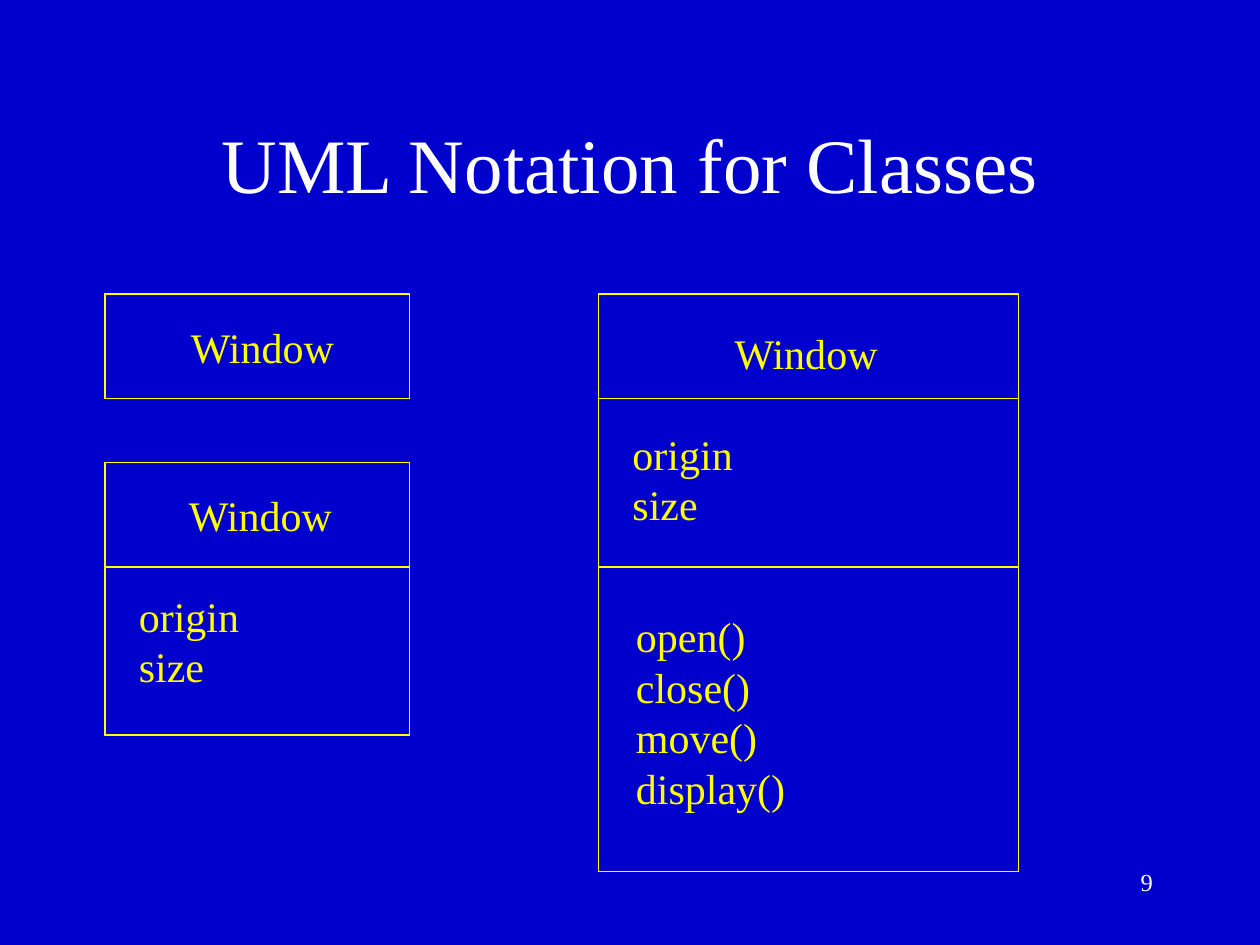
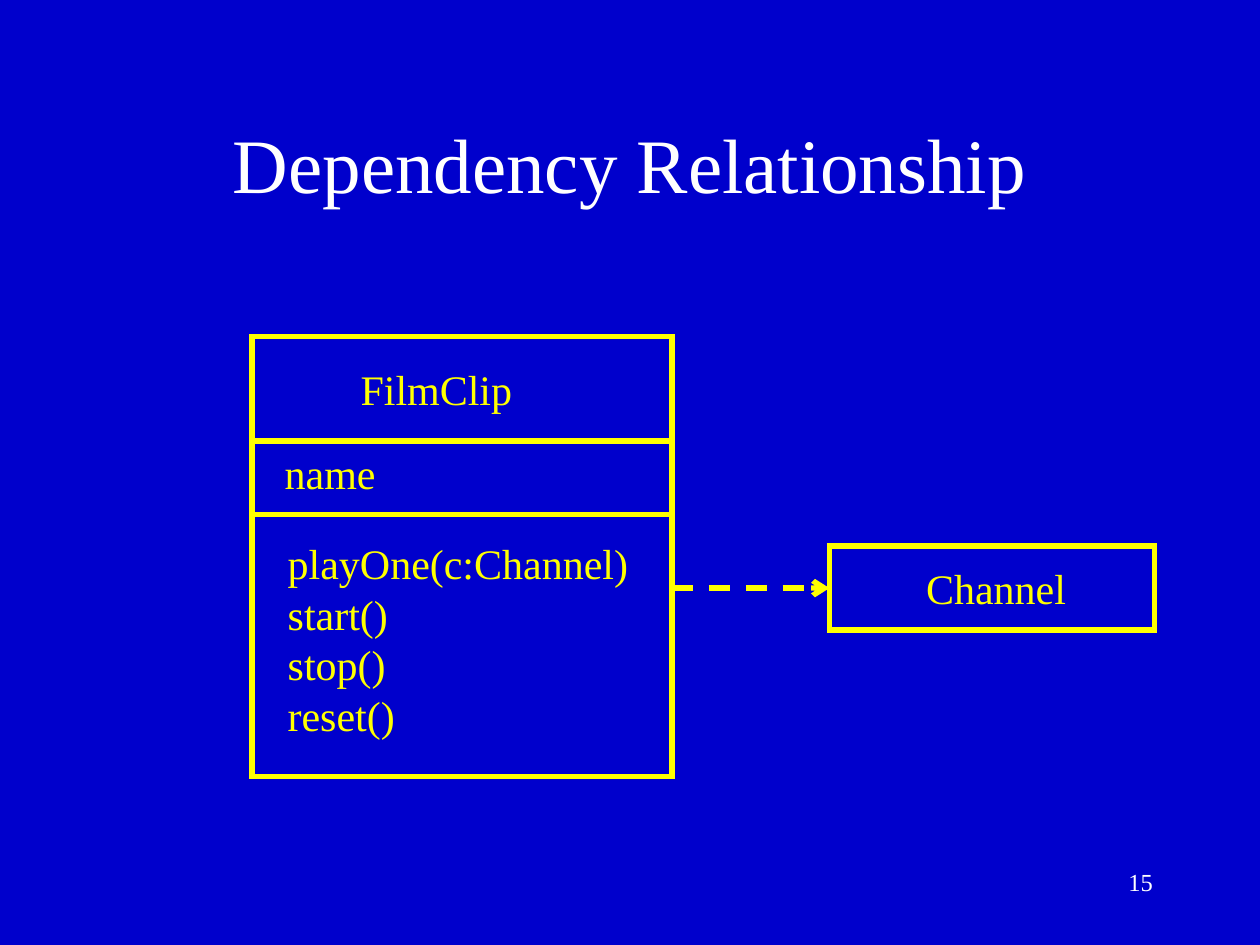
from pptx import Presentation
from pptx.dml.color import RGBColor
from pptx.enum.dml import MSO_LINE
from pptx.enum.shapes import MSO_CONNECTOR, MSO_SHAPE
from pptx.enum.text import MSO_ANCHOR, MSO_AUTO_SIZE, PP_ALIGN
from pptx.oxml.ns import qn
from pptx.util import Cm, Pt
from lxml import etree

LEFT, CENTER, RIGHT = PP_ALIGN.LEFT, PP_ALIGN.CENTER, PP_ALIGN.RIGHT
MIDDLE = MSO_ANCHOR.MIDDLE
FIT_TEXT = MSO_AUTO_SIZE.SHAPE_TO_FIT_TEXT
RECTANGLE = MSO_SHAPE.RECTANGLE
STRAIGHT = MSO_CONNECTOR.STRAIGHT
DASH = MSO_LINE.DASH

FONT = "Times New Roman"
color = RGBColor.from_string
BLUE, YELLOW, WHITE = "0000CC", "FFFF00", "FFFFFF"
TEXT_LINE, TEXT_MARGINS = 1.02, 0.25  # cm, for 24 pt text

# Slides: title, page number, line weight, classes.
# Class: left, top, width, compartments (cm).
# Compartment: height, text indent, text drop, text width, lines.
slides = [
    ("UML Notation for Classes", "9", 0.75, [
        (12.07, 5.93, 8.47, [
            (2.11, 2.49, 0.55, 3.44, ["Window"]),
            (3.39, 0.43, 0.47, 2.56, ["origin", "size"]),
            (6.14, 0.5, 0.76, 3.52, ["open()", "close()", "move()", "display()"]),
        ]),
        (2.12, 5.93, 6.14, [
            (2.11, 1.48, 0.42, 3.44, ["Window"]),
        ]),
        (2.12, 9.32, 6.14, [
            (2.11, 1.44, 0.42, 3.44, ["Window"]),
            (3.39, 0.43, 0.35, 2.56, ["origin", "size"]),
        ]),
    ]),
    ("Dependency Relationship", "15", 3, [
        (5.08, 6.78, 8.47, [
            (2.11, 1.94, 0.42, 3.57, ["FilmClip"]),
            (1.48, 0.41, 0, 2.35, ["name"]),
            (5.29, 0.47, 0.35, 7.38,
             ["playOne(c:Channel)", "start()", "stop()", "reset()"]),
        ]),
        (16.72, 11.01, 6.56, [
            (1.69, 1.7, 0.2, 3.34, ["Channel"]),
        ]),
    ]),
]


def add_text(slide, left, top, width, height, lines, size, text_color, align):
    box = slide.shapes.add_textbox(Cm(left), Cm(top), Cm(width), Cm(height))
    frame = box.text_frame
    frame.word_wrap = True
    frame.text = "\n".join(lines)
    for paragraph in frame.paragraphs:
        paragraph.alignment = align
        paragraph.font.name = FONT
        paragraph.font.size = Pt(size)
        paragraph.font.color.rgb = color(text_color)
    return frame


def add_line(slide, x1, y1, x2, y2, weight):
    connector = slide.shapes.add_connector(STRAIGHT, x1, y1, x2, y2)
    connector.line.color.rgb = color(YELLOW)
    connector.line.width = Pt(weight)
    etree.SubElement(connector._element.spPr, qn("a:effectLst"))
    return connector


prs = Presentation()
prs.slide_width, prs.slide_height = Cm(25.4), Cm(19.05)

for title, page_number, weight, classes in slides:
    slide = prs.slides.add_slide(prs.slide_layouts[6])
    slide.background.fill.solid()
    slide.background.fill.fore_color.rgb = color(BLUE)

    # Title and page number
    heading = add_text(slide, 1.9, 1.7, 21.6, 3.17, [title], 44, WHITE, CENTER)
    heading.vertical_anchor = MIDDLE
    add_text(slide, 18.2, 17.36, 5.29, 1.27, [page_number], 14, WHITE, RIGHT)

    # Class boxes with sharp corners, divided into compartments
    class_boxes = []
    for left, top, width, compartments in classes:
        height = sum(compartment[0] for compartment in compartments)
        class_box = slide.shapes.add_shape(
            RECTANGLE, Cm(left), Cm(top), Cm(width), Cm(height))
        class_box.shadow.inherit = False
        class_box.fill.background()
        class_box.line.color.rgb = color(YELLOW)
        class_box.line.width = Pt(weight)
        border = class_box._element.spPr.find(qn("a:ln"))
        etree.SubElement(border, qn("a:miter"), lim="800000")
        class_boxes.append(class_box)

        y = top
        for depth, indent, drop, text_width, lines in compartments:
            if y > top:
                add_line(slide, Cm(left), Cm(y), Cm(left + width), Cm(y), weight)
            members = add_text(slide, left + indent, y + drop, text_width,
                               TEXT_MARGINS + TEXT_LINE * len(lines),
                               lines, 24, YELLOW, LEFT)
            members.word_wrap = False
            members.auto_size = FIT_TEXT
            y += depth

# Dashed dependency arrow from FilmClip to Channel, on the last slide
film_clip, channel = class_boxes
arrow_y = channel.top + channel.height // 2
dependency = add_line(slide, film_clip.left + film_clip.width, arrow_y,
                      channel.left, arrow_y, weight)
dependency.end_connect(channel, 1)
dependency.line.dash_style = DASH
outline = dependency._element.spPr.find(qn("a:ln"))
etree.SubElement(outline, qn("a:tailEnd"), type="arrow")

prs.save("out.pptx")
